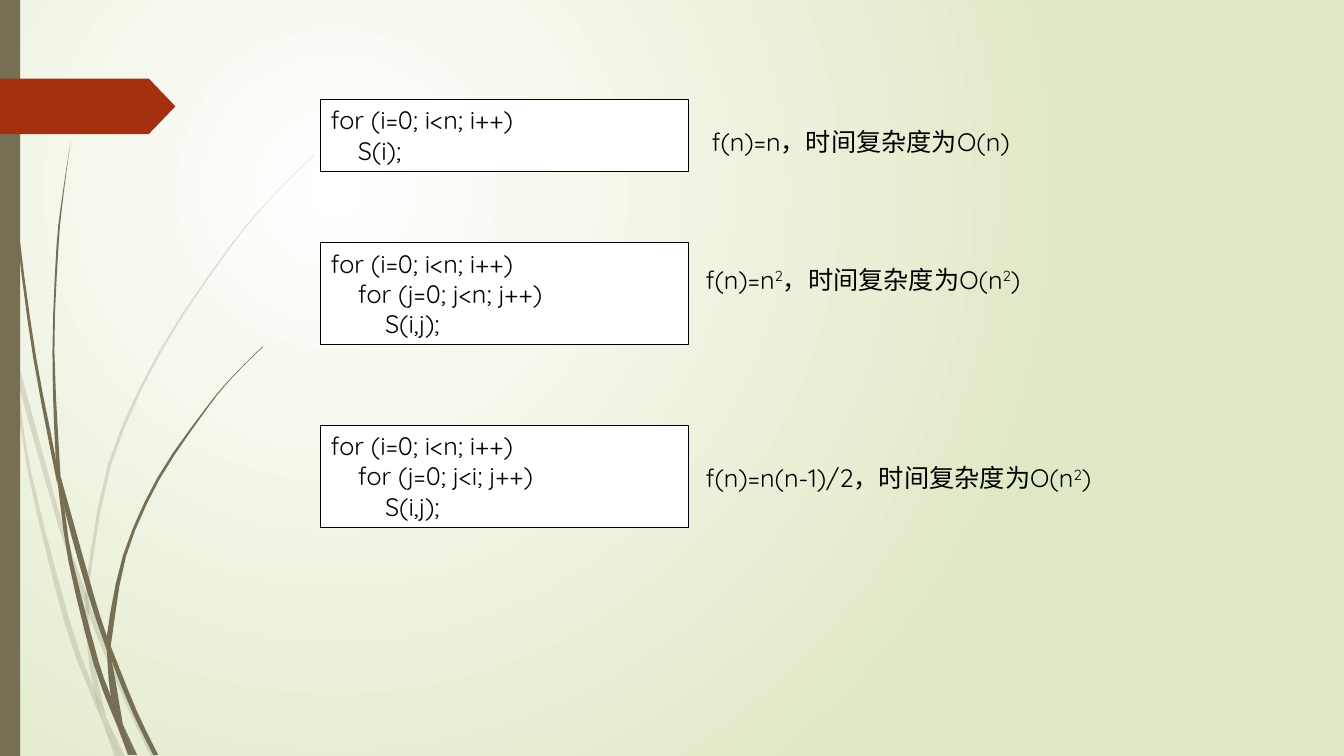
import dataclasses

import pptx
import pptx.dml.color
import pptx.enum.lang
import pptx.enum.shapes
import pptx.enum.text
import pptx.oxml
import pptx.oxml.ns
import pptx.util

Inches = pptx.util.Inches
Shapes = pptx.enum.shapes.MSO_SHAPE
A = pptx.oxml.ns.nsdecls("a")


@dataclasses.dataclass(frozen=True)
class Theme:
    font: str = "Quicksand"
    size: int = 18
    ink: str = "000000"
    paper: str = "FFFFFF"
    mist: str = "DFE8C4"
    bark: str = "766F54"
    rust: str = "A53010"
    line: float = 0.75
    indent: float = 0.27


# Pieces of grass: left edge and right edge, both from the top down
PALE_GRASS = [
    ([(0, 2.82), (0, 2.99), (0.1, 3.44), (0.11, 3.5)], [(0, 2.82), (0.09, 3.22), (0.11, 3.5)]),
    ([(0.14, 3.45), (0.17, 3.76), (0.58, 5.22), (0.84, 5.99)],
     [(0.14, 3.45), (0.62, 5.2), (0.85, 5.86)]),
    ([(0.88, 5.96), (0.88, 6.1), (1.23, 6.94), (1.5, 7.51)],
     [(0.88, 5.96), (0.92, 6.07), (1.27, 6.92), (1.55, 7.51)]),
    ([(1.05, 7.11), (1.19, 7.51)], [(1.05, 7.11), (1.24, 7.51)]),
    ([(0.11, 3.5), (0.28, 4.7), (0.65, 6.21), (0.92, 6.93), (1.01, 7.14)],
     [(0.11, 3.5), (0.17, 3.76), (0.31, 4.69), (0.7, 6.19), (0.93, 6.83), (1.01, 7.14)]),
    ([(0.84, 5.99), (0.87, 6.46), (0.93, 6.83), (1.05, 7.11)],
     [(0.84, 5.99), (0.88, 6.1), (0.91, 6.46), (1.05, 7.11)]),
    ([(3.12, 1.53), (2.89, 1.75), (2.68, 1.97), (2.28, 2.44), (1.58, 3.48), (1.07, 4.61),
      (0.85, 5.84), (0.88, 5.96)],
     [(3.12, 1.54), (2.9, 1.75), (2.68, 1.98), (2.29, 2.45), (1.6, 3.49), (1.1, 4.62),
      (0.88, 5.84), (0.88, 5.96)]),
    ([(1.01, 7.14), (1.14, 7.51)], [(1.01, 7.14), (1.19, 7.51)]),
    ([(0.85, 5.86), (0.84, 5.99), (0.88, 6.1)], [(0.85, 5.86), (0.88, 5.96), (0.88, 6.1)]),
    ([(0.93, 6.83), (1.01, 7.14), (1.19, 7.51)], [(0.93, 6.83), (1.05, 7.11), (1.19, 7.51)]),
]
DARK_GRASS = [
    ([(0.03, 0), (0.07, 1.1), (0.17, 2.33), (0.33, 3.55), (0.57, 4.81)],
     [(0.04, 0), (0.08, 1.09), (0.19, 2.32), (0.36, 3.55), (0.55, 4.53), (0.57, 4.81)]),
    ([(0.6, 4.72), (0.64, 5.05), (0.88, 5.92), (1.06, 6.45)],
     [(0.6, 4.72), (0.93, 5.9), (1.06, 6.31)]),
    ([(1.1, 6.41), (1.11, 6.56), (1.32, 7.08), (1.52, 7.49)],
     [(1.1, 6.41), (1.13, 6.49), (1.36, 7.06), (1.57, 7.49)]),
    ([(0.57, 4.77), (0.68, 5.57), (0.93, 6.59), (1.17, 7.22)],
     [(0.57, 4.77), (0.64, 5.05), (0.72, 5.56), (0.98, 6.57), (1.1, 6.91), (1.17, 7.22)]),
    ([(0.7, 1.41), (0.62, 1.93), (0.56, 2.45), (0.52, 3.49), (0.55, 4.49), (0.6, 4.72)],
     [(0.7, 1.41), (0.63, 1.93), (0.58, 2.45), (0.54, 3.49), (0.6, 4.72)]),
    ([(1.22, 7.19), (1.33, 7.49)], [(1.22, 7.19), (1.36, 7.49)]),
    ([(0.55, 4.49), (0.57, 4.77), (0.64, 5.05)], [(0.55, 4.49), (0.6, 4.72), (0.64, 5.05)]),
    ([(2.6, 3.44), (2.31, 3.73), (2.04, 4.05), (1.56, 4.74), (1.22, 5.51), (1.06, 6.31), (1.1, 6.41)],
     [(2.61, 3.44), (2.31, 3.74), (2.05, 4.06), (1.58, 4.76), (1.25, 5.52), (1.11, 6.33), (1.1, 6.41)]),
    ([(1.17, 7.22), (1.27, 7.49)], [(1.17, 7.22), (1.31, 7.49)]),
    ([(1.06, 6.45), (1.1, 6.91), (1.22, 7.19)], [(1.06, 6.45), (1.11, 6.56), (1.22, 7.19)]),
    ([(1.06, 6.31), (1.06, 6.45), (1.11, 6.56)], [(1.06, 6.31), (1.1, 6.41), (1.11, 6.56)]),
    ([(1.1, 6.91), (1.17, 7.22), (1.3, 7.49)], [(1.1, 6.91), (1.22, 7.19), (1.33, 7.49)]),
]

# Code box top and height, code lines, note position and note spans (odd ones raised)
EXAMPLES = [
    (0.99, 0.71, ["for (i=0; i<n; i++)", "S(i);"], (6.96, 1.2, 3.44), ["f(n)=n，时间复杂度为O(n)"]),
    (2.41, 1.01, ["for (i=0; i<n; i++)", "for (j=0; j<n; j++)", "S(i,j);"],
     (6.9, 2.57, 3.65), ["f(n)=n", "2", "，时间复杂度为O(n", "2", ")"]),
    (4.22, 1.01, ["for (i=0; i<n; i++)", "for (j=0; j<i; j++)", "S(i,j);"],
     (6.9, 4.54, 4.59), ["f(n)=n(n-1)/2，时间复杂度为O(n", "2", ")"]),
]


def smooth(knots, steps=3):
    """Points of a Catmull-Rom curve through the knots."""
    if len(knots) == 2:
        return knots
    padded = [knots[0], *knots, knots[-1]]
    points = [knots[0]]
    for corners in zip(padded, padded[1:], padded[2:], padded[3:]):
        for t in (step / steps for step in range(1, steps + 1)):
            points.append(tuple(
                q + t * (r - p) / 2 + t * t * (2 * p - 5 * q + 4 * r - s) / 2
                + t ** 3 * (3 * q - p - 3 * r + s) / 2
                for p, q, r, s in zip(*corners)))
    return points


class Painter:
    def __init__(self, page, theme):
        self.page = page
        self.theme = theme

    def color(self, value):
        return pptx.dml.color.RGBColor.from_string(value)

    def background(self):
        fill = self.page.background.fill
        fill.gradient()
        for stop, position, value in zip(fill.gradient_stops, (0, 1), (self.theme.paper, self.theme.mist)):
            stop.position = position
            stop.color.rgb = self.color(value)
        gradient = self.page._element.find(".//" + pptx.oxml.ns.qn("a:gradFill"))
        gradient.remove(gradient.find(pptx.oxml.ns.qn("a:lin")))
        gradient.append(pptx.oxml.parse_xml(
            f'<a:path {A} path="circle"><a:fillToRect l="50000" t="50000" r="100000" b="100000"/></a:path>'))

    def paint(self, shape, fill, line=None, alpha=None):
        shape.shadow.inherit = False
        shape.fill.solid()
        shape.fill.fore_color.rgb = self.color(fill)
        if alpha:
            tint = shape._element.spPr.find(".//" + pptx.oxml.ns.qn("a:srgbClr"))
            tint.append(pptx.oxml.parse_xml(f'<a:alpha {A} val="{alpha * 1000}"/>'))
        if line:
            shape.line.color.rgb = self.color(line)
            shape.line.width = pptx.util.Pt(self.theme.line)
        else:
            shape.line.fill.background()

    def shape(self, kind, place, fill, line=None):
        shape = self.page.shapes.add_shape(kind, *map(Inches, place))
        self.paint(shape, fill, line)
        return shape

    def grass(self, left, right, alpha=None):
        outline = [(Inches(x), Inches(y)) for x, y in smooth(left) + smooth(right)[::-1]]
        builder = self.page.shapes.build_freeform(*outline[0])
        builder.add_line_segments(outline[1:], close=True)
        self.paint(builder.convert_to_shape(), self.theme.bark, alpha=alpha)

    def frame(self, box, wrap):
        formats = {
            "word_wrap": wrap,
            "auto_size": pptx.enum.text.MSO_AUTO_SIZE.SHAPE_TO_FIT_TEXT,
            "vertical_anchor": pptx.enum.text.MSO_ANCHOR.TOP,
        }
        for name, value in formats.items():
            setattr(box.text_frame, name, value)
        return box.text_frame

    def span(self, para, text, raised=False):
        para.alignment = pptx.enum.text.PP_ALIGN.LEFT
        span = para.add_run()
        span.text = text
        formats = {
            "name": self.theme.font,
            "size": pptx.util.Pt(self.theme.size),
            "language_id": pptx.enum.lang.MSO_LANGUAGE_ID.SIMPLIFIED_CHINESE,
        }
        for name, value in formats.items():
            setattr(span.font, name, value)
        span.font.color.rgb = self.color(self.theme.ink)
        if raised:
            span.font._element.set("baseline", "30000")

    def code(self, top, height, lines):
        box = self.shape(Shapes.RECTANGLE, (3.18, top, 3.65, height), self.theme.paper, self.theme.ink)
        frame = self.frame(box, True)
        for depth, line in enumerate(lines):
            para = frame.add_paragraph() if depth else frame.paragraphs[0]
            para._p.get_or_add_pPr().set("marL", str(Inches(depth * self.theme.indent)))
            self.span(para, line)

    def note(self, left, top, width, spans):
        box = self.page.shapes.add_textbox(*map(Inches, (left, top, width, 0.4)))
        para = self.frame(box, False).paragraphs[0]
        for index, text in enumerate(spans):
            self.span(para, text, raised=index % 2 == 1)


def main():
    deck = pptx.Presentation()
    deck.slide_width, deck.slide_height = Inches(13.33), Inches(7.5)
    theme = Theme()
    painter = Painter(deck.slides.add_slide(deck.slide_layouts[6]), theme)

    # Backdrop: gradient, grass, side bar and tag
    painter.background()
    for pieces, alpha in ((PALE_GRASS, 20), (DARK_GRASS, None)):
        for left, right in pieces:
            painter.grass(left, right, alpha)
    painter.shape(Shapes.RECTANGLE, (0, 0, 0.2, 7.5), theme.bark)
    tag = painter.shape(Shapes.PENTAGON, (0, 0.78, 1.74, 0.55), theme.rust)
    tag.adjustments[0] = 0.48

    # Loops and their time complexity
    for top, height, lines, place, spans in EXAMPLES:
        painter.code(top, height, lines)
        painter.note(*place, spans)

    deck.save("out.pptx")


if __name__ == "__main__":
    main()
